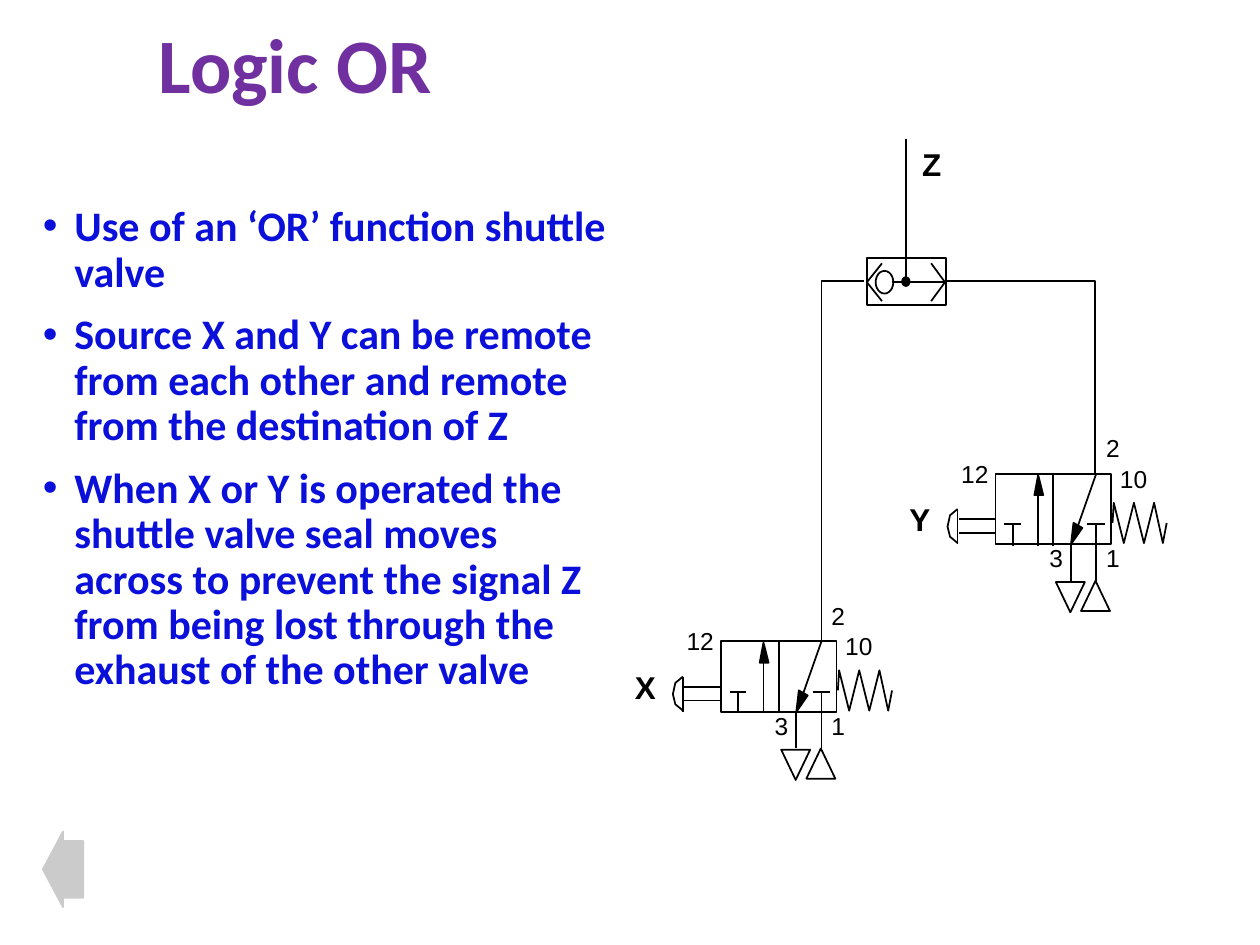
from lxml.etree import SubElement
from pptx import Presentation
from pptx.dml.color import RGBColor
from pptx.enum.shapes import MSO_CONNECTOR, MSO_SHAPE as SHAPE
from pptx.enum.text import MSO_ANCHOR, MSO_AUTO_SIZE, PP_ALIGN
from pptx.oxml.ns import qn
from pptx.util import Inches, Pt

BLACK, PURPLE, BLUE, GREY = "000000", "7030A0", "0A0FDA", "CBCBCB"


def paint(shape, fill, line):
    shape.shadow.inherit = False
    if fill:
        shape.fill.solid()
        shape.fill.fore_color.rgb = RGBColor.from_string(fill)
    else:
        shape.fill.background()
    shape.line.color.rgb = RGBColor.from_string(line)
    shape.line.width = Pt(1)


def set_font(paragraph, name, size, color, bold):
    font = paragraph.font
    font.name, font.size, font.bold = name, Pt(size), bold
    font.color.rgb = RGBColor.from_string(color)


presentation = Presentation()
presentation.slide_width, presentation.slide_height = Inches(10), Inches(7.5)
slide = presentation.slides.add_slide(presentation.slide_layouts[1])

# Square grid, ten columns across the slide
unit = presentation.slide_width / 10

# Title
title, body = slide.placeholders
title.left, title.top, title.width, title.height = [
    round(n * unit) for n in (1.16, 0.14, 7.47, 0.81)]
title.text_frame.text = "Logic OR"
title.text_frame.auto_size = MSO_AUTO_SIZE.NONE
title.text_frame.vertical_anchor = MSO_ANCHOR.MIDDLE
paragraph = title.text_frame.paragraphs[0]
paragraph.alignment = PP_ALIGN.LEFT
paragraph.line_spacing = 0.9
set_font(paragraph, "Calibri", 44, PURPLE, True)

# Bulleted list
body.left, body.top, body.width, body.height = [
    round(n * unit) for n in (0.24, 1.58, 4.68, 4.92)]
body.text_frame.text = "\n".join([
    "Use of an ‘OR’ function shuttle valve",
    "Source X and Y can be remote from each other and remote "
    "from the destination of Z",
    "When X or Y is operated the shuttle valve seal moves across to prevent "
    "the signal Z from being lost through the exhaust of the other valve",
])
body.text_frame.auto_size = MSO_AUTO_SIZE.NONE
for index, paragraph in enumerate(body.text_frame.paragraphs):
    properties = paragraph._p.get_or_add_pPr()
    properties.set("marL", str(Inches(0.25)))
    properties.set("indent", str(-Inches(0.25)))
    bullet_color = SubElement(properties, qn("a:buClr"))
    SubElement(bullet_color, qn("a:srgbClr"), val=BLUE)
    SubElement(properties, qn("a:buFont"), typeface="Arial")
    SubElement(properties, qn("a:buChar"), char="•")
    paragraph.line_spacing = 0.9
    paragraph.space_before = Pt(10 if index else 0)
    set_font(paragraph, "Calibri", 24, BLUE, True)

# Shuttle valve and pipes: lines, outlines, shapes and labels in grid units
lines = [
    (7.19, 2.24, 7.19, 1.1),   # output Z
    (7.08, 2.24, 7.5, 2.24),
]
outlines = [  # points, closed, fill
    ([(7, 2.09), (6.88, 2.24), (7, 2.39)], False, None),
    ([(7.39, 2.09), (7.5, 2.24), (7.39, 2.39)], False, None),
    ([(6.52, 5.1), (6.52, 2.23), (6.86, 2.23)], False, None),
    ([(7.51, 2.23), (8.69, 2.23), (8.69, 3.76)], False, None),
]
shapes = [  # preset, left, top, width, height, rotation, fill
    (SHAPE.RECTANGLE, 6.88, 2.05, 0.63, 0.37, 0, None),
    (SHAPE.OVAL, 7.16, 2.2, 0.06, 0.07, 0, BLACK),
    (SHAPE.OVAL, 6.95, 2.15, 0.14, 0.18, 0, None),
]
labels = [("Z", 7.22, 1.1, 0.36, 0.4, 18)]

# Parts of one 3/2 valve, measured from the top left corner of its body
valve_lines = [
    (0.6, 0.56, 0.6, 0.85),      # exhaust port 3
    (0.8, 0.56, 0.8, 0.85),      # supply port 1
    (0.8, 0.4, 0.8, 0.57),       # blocked ports
    (0.73, 0.4, 0.87, 0.4),
    (0.14, 0.4, 0.14, 0.57),
    (0.07, 0.4, 0.2, 0.4),
    (0.46, -0.01, 0.46, 0.57),   # divider
    (0.8, 0, 0.6, 0.57),         # flow paths
    (0.34, 0.57, 0.34, 0),
    (-0.3, 0.28, -0.3, 0.56),    # push button
    (-0.29, 0.36, 0, 0.36),
    (-0.29, 0.47, 0, 0.47),
]
spring = [(1.36, 0.39), (1.33, 0.55)]
spring += [(1.26 - 0.08 * n, 0.55 if n % 2 else 0.23) for n in range(5)]
spring += [(0.93, 0.39)]
valve_outlines = [
    ([(0.34, 0.01), (0.31, 0.17), (0.38, 0.17)], True, BLACK),
    ([(0.6, 0.56), (0.62, 0.39), (0.69, 0.43)], True, BLACK),
    (spring, False, None),
    ([(-0.3, 0.28), (-0.36, 0.33), (-0.38, 0.42), (-0.36, 0.5), (-0.3, 0.55)],
     False, None),
]
valve_shapes = [
    (SHAPE.RECTANGLE, 0, 0, 0.92, 0.56, 0, None),
    (SHAPE.ISOSCELES_TRIANGLE, 0.68, 0.85, 0.23, 0.24, 0, None),
    (SHAPE.ISOSCELES_TRIANGLE, 0.48, 0.86, 0.23, 0.24, 180, None),
]
valve_labels = [
    ("1", 0.78, 0.5, 0.31, 0.33, 14),
    ("2", 0.78, -0.37, 0.31, 0.33, 14),
    ("3", 0.33, 0.5, 0.31, 0.33, 14),
    ("12", -0.37, -0.17, 0.42, 0.33, 14),
    ("10", 0.89, -0.13, 0.42, 0.33, 14),
]

# Place the valve twice
for name, x, y in (("Y", 7.9, 3.76), ("X", 5.72, 5.09)):
    lines += [(x + a, y + b, x + c, y + d) for a, b, c, d in valve_lines]
    outlines += [([(x + a, y + b) for a, b in points], closed, fill)
                 for points, closed, fill in valve_outlines]
    shapes += [(preset, x + a, y + b, *rest)
               for preset, a, b, *rest in valve_shapes]
    labels += [(text, x + a, y + b, *rest)
               for text, a, b, *rest in [(name, -0.78, 0.16, 0.37, 0.4, 18)] + valve_labels]

# Draw the circuit as one group
circuit = slide.shapes.add_group_shape().shapes
for ends in lines:
    connector = circuit.add_connector(
        MSO_CONNECTOR.STRAIGHT, *[round(n * unit) for n in ends])
    connector.line.color.rgb = RGBColor.from_string(BLACK)
    connector.line.width = Pt(1)
    SubElement(connector._element.spPr, qn("a:effectLst"))

for points, closed, fill in outlines:
    corners = [(round(a * unit), round(b * unit)) for a, b in points]
    builder = circuit.build_freeform(*corners[0])
    builder.add_line_segments(corners[1:], close=closed)
    paint(builder.convert_to_shape(), fill, BLACK)

for preset, *box, rotation, fill in shapes:
    shape = circuit.add_shape(preset, *[round(n * unit) for n in box])
    shape.rotation = rotation
    paint(shape, fill, BLACK)

for text, *box, size in labels:
    label = circuit.add_textbox(*[round(n * unit) for n in box])
    label.text_frame.word_wrap = False
    label.text_frame.text = text
    set_font(label.text_frame.paragraphs[0], "Arial", size, BLACK, size == 18)

# Back arrow
arrow = slide.shapes.add_shape(
    SHAPE.LEFT_ARROW, *[round(n * unit) for n in (0.34, 6.6, 0.32, 0.6)])
arrow.adjustments[0] = 0.75
arrow.adjustments[1] = 0.5
paint(arrow, GREY, GREY)

presentation.save("out.pptx")
